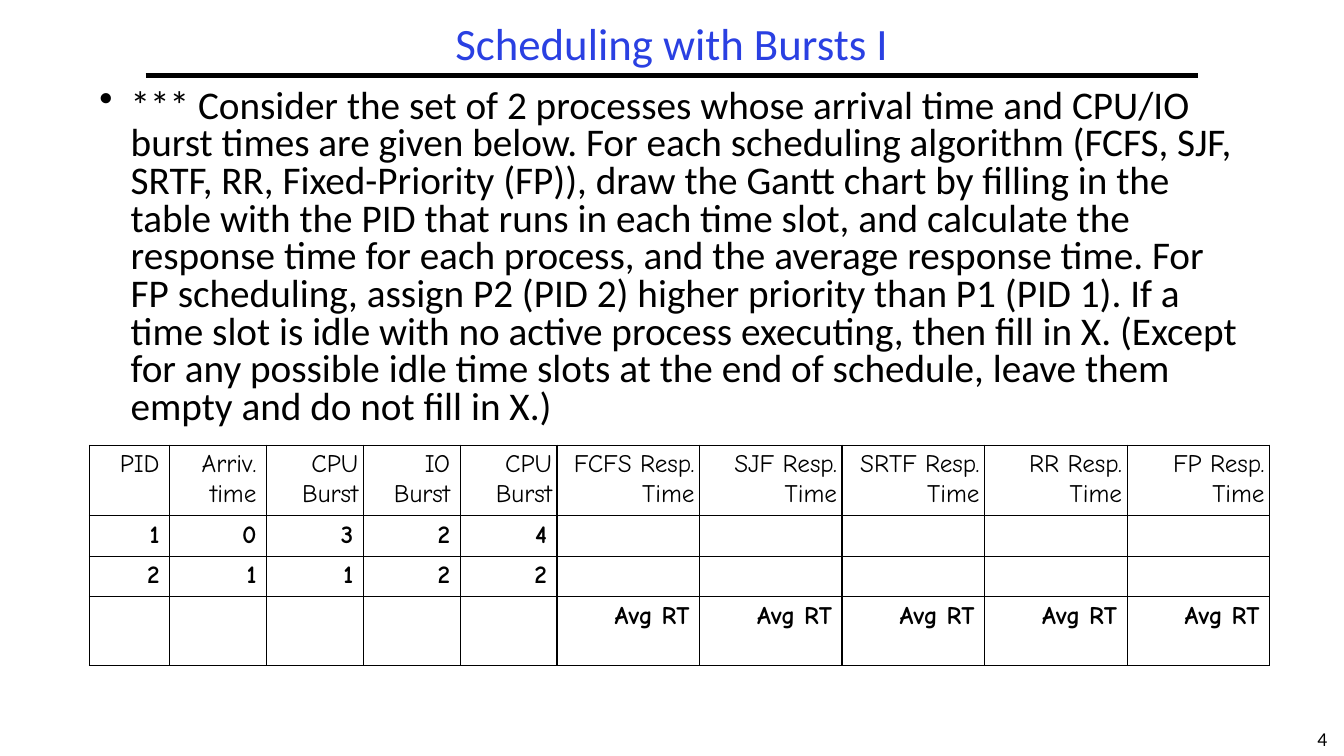
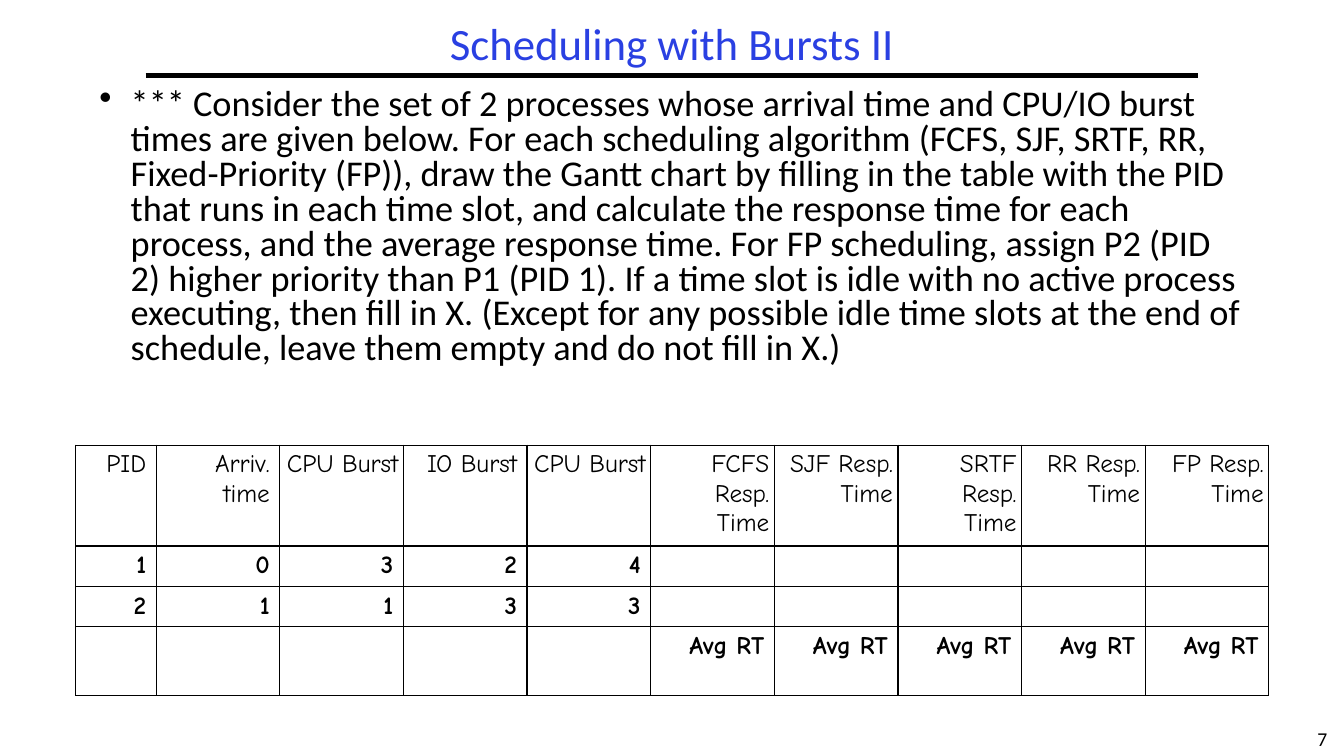
from lxml import etree
from pptx import Presentation
from pptx.dml.color import RGBColor
from pptx.enum.text import MSO_ANCHOR as Anchor, PP_ALIGN as Align
from pptx.oxml.ns import qn
from pptx.util import Inches, Pt

COLUMNS, ROWS = 480, 90
BLACK, TITLE_BLUE = "000000", "2A40E2"
BODY_FONT, TABLE_FONT = "Calibri", "Comic Neue"

QUESTION = (
    "*** Consider the set of 2 processes whose arrival time and CPU/IO burst "
    "times are given below. For each scheduling algorithm (FCFS, SJF, SRTF, RR, "
    "Fixed-Priority (FP)), draw the Gantt chart by filling in the table with the "
    "PID that runs in each time slot, and calculate the response time for each "
    "process, and the average response time. For FP scheduling, assign P2 (PID 2) "
    "higher priority than P1 (PID 1). If a time slot is idle with no active process "
    "executing, then fill in X. (Except for any possible idle time slots at the end "
    "of schedule, leave them empty and do not fill in X.)"
)
ALGORITHMS = ["FCFS", "SJF", "SRTF", "RR", "FP"]
PROCESS_HEADERS = ["PID", "Arriv. time", "CPU Burst", "IO Burst", "CPU Burst"]
HEADERS = PROCESS_HEADERS + [f"{name} Resp. Time" for name in ALGORITHMS]
AVERAGES = [""] * len(PROCESS_HEADERS) + ["Avg RT"] * len(ALGORITHMS)
TIGHT_HEADERS = {2, 4, 5, 6, 7, 8, 9}


def color(code):
    return RGBColor.from_string(code)


class SlideBuilder:
    """Holds the deck, its style and the current slide."""

    def __init__(self):
        self.deck = Presentation()
        self.deck.slide_width = Inches(13.33)
        self.deck.slide_height = Inches(7.5)
        self.page = None

    def across(self, columns):
        return round(self.deck.slide_width * columns / COLUMNS)

    def down(self, rows):
        return round(self.deck.slide_height * rows / ROWS)

    def place(self, left, top, width, height):
        return self.across(left), self.down(top), self.across(width), self.down(height)

    def style(self, para, size, font=BODY_FONT, shade=BLACK, bold=False):
        para.font.name, para.font.size, para.font.bold = font, Pt(size), bold
        para.font.color.rgb = color(shade)

    def new_page(self, title, number):
        self.page = self.deck.slides.add_slide(self.deck.slide_layouts[6])
        self.text(str(number), (464.5, 86, 15.5, 4), 14, wrap=False)
        self.rule(52, 428, 9)
        self.text(title, (52, 2, 376, 7), 32, shade=TITLE_BLUE,
                  anchor=Anchor.MIDDLE, spacing=0.9)

    def text(self, words, area, size, shade=BLACK, anchor=Anchor.TOP,
             spacing=1.0, wrap=True, bullet=False):
        frame = self.page.shapes.add_textbox(*self.place(*area)).text_frame
        frame.word_wrap = wrap
        frame.vertical_anchor = anchor
        para = frame.paragraphs[0]
        para.text = words
        para.alignment = Align.LEFT if bullet else Align.CENTER
        para.line_spacing = spacing
        if bullet:
            self.add_bullet(para)
        self.style(para, size, shade=shade)

    def add_bullet(self, para):
        properties = para._p.get_or_add_pPr()
        indent = Inches(0.31)
        properties.set("marL", str(indent))
        properties.set("indent", str(-indent))
        etree.SubElement(properties, qn("a:buChar"), char="•")

    def rule(self, start, end, row):
        y = self.down(row)
        line = self.page.shapes.add_connector(1, self.across(start), y, self.across(end), y)
        line.line.color.rgb = color(BLACK)
        line.line.width = Pt(3)
        etree.SubElement(line._element.spPr, qn("a:effectLst"))

    def table(self, cells, left, widths, heights):
        area = self.place(left, 53, sum(widths), sum(heights))
        table = self.page.shapes.add_table(len(heights), len(widths), *area).table
        table.first_row = table.horz_banding = False
        for column, width in zip(table.columns, widths):
            column.width = self.across(width)
        for row, height in zip(table.rows, heights):
            row.height = self.down(height)
        for r, values in enumerate(cells):
            for c, value in enumerate(values):
                tight = r == 0 and c in TIGHT_HEADERS
                self.fill_cell(table.cell(r, c), value, bold=r > 0, tight=tight)

    def fill_cell(self, cell, value, bold, tight):
        cell.text = str(value)
        cell.margin_left = cell.margin_right = Inches(0.05 if tight else 0.1)
        para = cell.text_frame.paragraphs[0]
        para.alignment = Align.RIGHT
        self.style(para, 18, font=TABLE_FONT, bold=bold)
        # Borders come before the fill in the cell properties
        properties = cell._tc.get_or_add_tcPr()
        for side in ("lnL", "lnR", "lnT", "lnB"):
            border = etree.SubElement(properties, qn(f"a:{side}"), w=str(Pt(1)))
            paint = etree.SubElement(border, qn("a:solidFill"))
            etree.SubElement(paint, qn("a:srgbClr"), val=BLACK)
        cell.fill.background()

    def exercise(self, title, number, size, body_rows, processes, left, widths, header_rows):
        self.new_page(title, number)
        self.text(QUESTION, (32, 10, 416, body_rows), size, spacing=0.8, bullet=True)
        blanks = [""] * len(ALGORITHMS)
        cells = [HEADERS, *[values + blanks for values in processes], AVERAGES]
        self.table(cells, left, widths, [header_rows, 4.65, 4.65, 8.2])


def main():
    builder = SlideBuilder()

    # First exercise: wide response columns
    builder.exercise(
        "Scheduling with Bursts I", 4, 28, 42,
        processes=[[1, 0, 3, 2, 4], [2, 1, 1, 2, 2]],
        left=32, widths=[28.6] + [34.6] * 4 + [50.9] * 5, header_rows=8.15)

    # Second exercise: equal columns after the PID
    builder.exercise(
        "Scheduling with Bursts II", 7, 25.9, 38,
        processes=[[1, 0, 3, 2, 4], [2, 1, 1, 3, 3]],
        left=27, widths=[28.8] + [44.15] * 9, header_rows=11.6)

    builder.deck.save("out.pptx")


if __name__ == "__main__":
    main()
